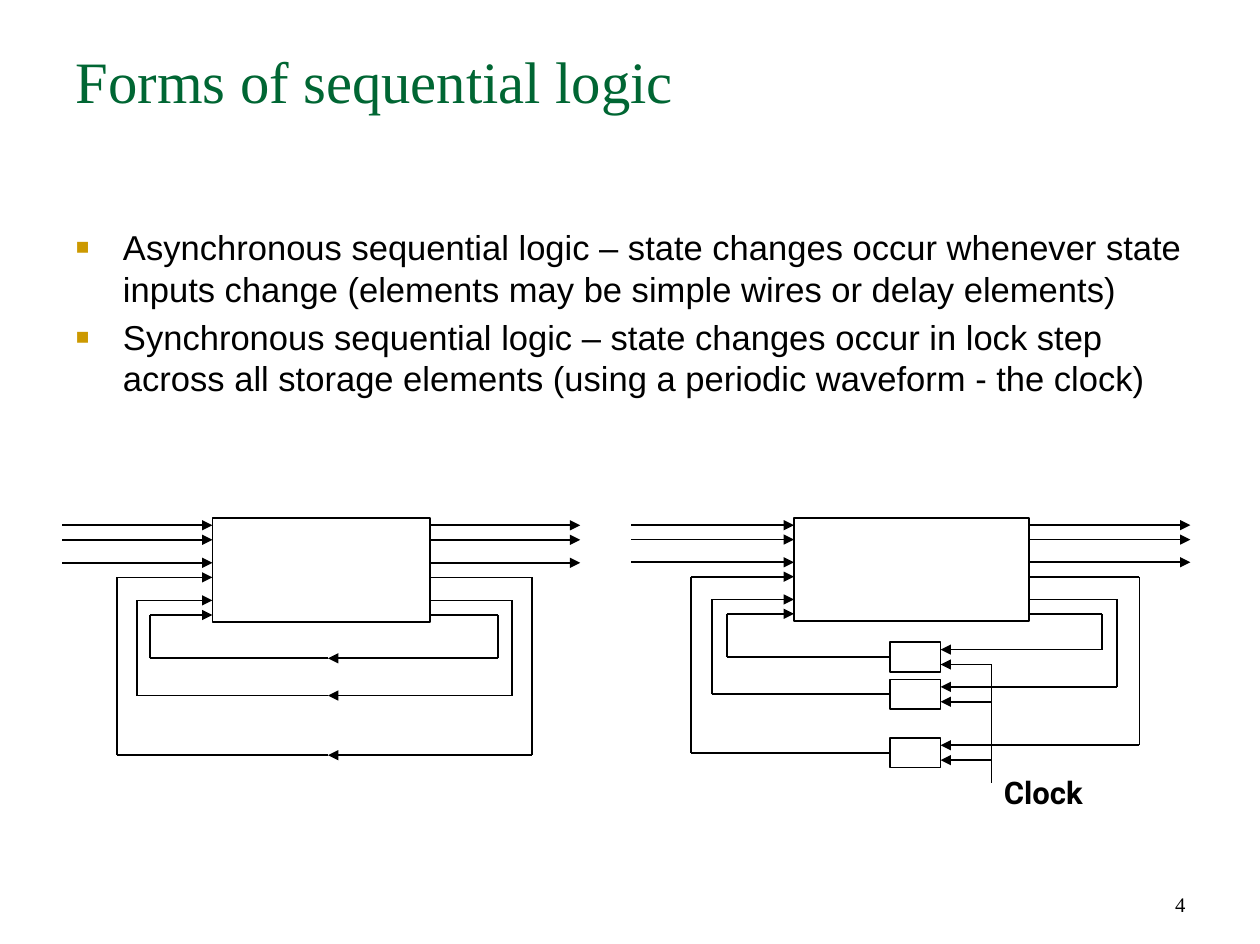
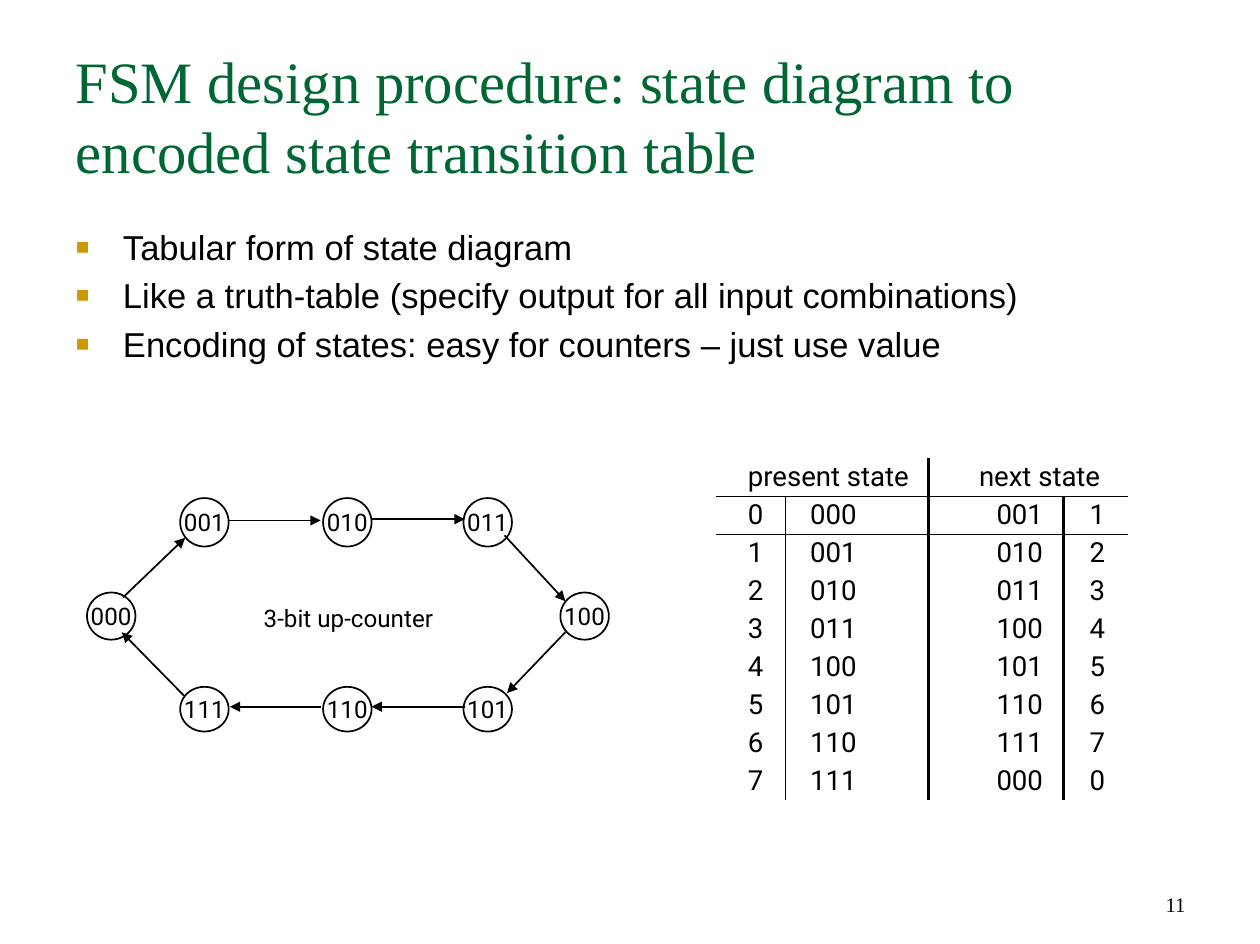
import pptx
import pptx.dml.color
import pptx.enum.shapes
import pptx.enum.text
import pptx.oxml
import pptx.oxml.ns
import pptx.util
from pptx.util import Inches, Pt

RGBColor = pptx.dml.color.RGBColor
GREEN = RGBColor(0x00, 0x66, 0x33)
GOLD = RGBColor(0xCC, 0x99, 0x00)
BLACK = RGBColor(0x00, 0x00, 0x00)
WHITE = RGBColor(0xFF, 0xFF, 0xFF)

SERIF, SANS, DIAGRAM = "Times New Roman", "Arial", "Roboto"
ALIGN = pptx.enum.text.PP_ALIGN
ANCHOR = pptx.enum.text.MSO_ANCHOR
SHAPE = pptx.enum.shapes.MSO_SHAPE
NO_GRID_STYLE = "{2D5ABB26-0587-4C30-8999-92F81FD0307C}"
qn = pptx.oxml.ns.qn


def xml(tag, content="", **attrs):
    """Make one DrawingML element."""
    pairs = "".join(f' {k}="{v}"' for k, v in attrs.items())
    ns = pptx.oxml.ns.nsdecls("a")
    return pptx.oxml.parse_xml(f"<a:{tag} {ns}{pairs}>{content}</a:{tag}>")


class Deck:
    """Shared style, and the slide being built."""

    def __init__(self):
        self.prs = pptx.Presentation()
        self.prs.slide_width, self.prs.slide_height = Inches(10.14), Inches(7.6)
        self.s = None

    def place(self, sp, x, y, w, h):
        sp.left, sp.top, sp.width, sp.height = (Inches(v) for v in (x, y, w, h))

    def style(self, p, font, size, color=BLACK, bold=False, align=ALIGN.LEFT):
        p.alignment = align
        for r in p.runs:
            r.font.name, r.font.size, r.font.bold = font, Pt(size), bold
            r.font.color.rgb = color

    def frame(self, sp, anchor=ANCHOR.TOP, wrap=True, inset=(0.1, 0.05)):
        tf = sp.text_frame
        tf.auto_size = pptx.enum.text.MSO_AUTO_SIZE.NONE
        tf.word_wrap, tf.vertical_anchor = wrap, anchor
        tf.margin_left = tf.margin_right = Inches(inset[0])
        tf.margin_top = tf.margin_bottom = Inches(inset[1])
        return tf

    def slide(self, title, bullets, number):
        """Start a slide with its title, bullet list and page number."""
        self.s = self.prs.slides.add_slide(self.prs.slide_layouts[1])
        head, body = self.s.placeholders
        self.place(head, 0.51, 0.31, 9.12, 1.26)
        tf = self.frame(head)
        tf.text = title
        self.style(tf.paragraphs[0], SERIF, 34, GREEN)

        self.place(body, 0.51, 1.77, 9.12, 5.02)
        tf = self.frame(body)
        tf.text = "\n".join(bullets)
        for p in tf.paragraphs:
            self.style(p, SANS, 20)
            p.space_before = Pt(4)
            self.bullet(p)

        self.label(number, 7.27, 6.92, 2.37, 0.51, font=SERIF, size=12,
                   align=ALIGN.RIGHT, anchor=ANCHOR.BOTTOM)

    def bullet(self, p):
        pPr = p._p.get_or_add_pPr()
        pPr.set("marL", str(Inches(0.38)))
        pPr.set("indent", str(Inches(-0.38)))
        pPr.append(xml("buClr", f'<a:srgbClr val="{GOLD}"/>'))
        pPr.append(xml("buSzPct", val=65000))
        pPr.append(xml("buFont", typeface=SANS))
        pPr.append(xml("buChar", char="■"))

    def label(self, text, x, y, w, h, font=DIAGRAM, size=14, bold=False,
              align=ALIGN.LEFT, anchor=ANCHOR.TOP):
        sp = self.s.shapes.add_textbox(*(Inches(v) for v in (x, y, w, h)))
        tf = self.frame(sp, anchor, wrap=False)
        tf.text = text
        self.style(tf.paragraphs[0], font, size, bold=bold, align=align)

    def shape(self, kind, x, y, w, h, text="", fill=None):
        sp = self.s.shapes.add_shape(kind, *(Inches(v) for v in (x, y, w, h)))
        sp.shadow.inherit = False
        if fill is None:
            sp.fill.background()
        else:
            sp.fill.solid()
            sp.fill.fore_color.rgb = fill
        sp.line.color.rgb, sp.line.width = BLACK, Pt(1)
        if text:
            tf = self.frame(sp, ANCHOR.MIDDLE, wrap=False, inset=(0, 0))
            tf.text = text
            self.style(tf.paragraphs[0], DIAGRAM, 14, align=ALIGN.CENTER)

    def wire(self, *points, arrow=True):
        """Draw straight segments through points, with an arrow at the end."""
        for start, end in zip(points, points[1:]):
            c = self.s.shapes.add_connector(
                pptx.enum.shapes.MSO_CONNECTOR.STRAIGHT,
                *(Inches(v) for v in start + end))
            c.line.color.rgb, c.line.width = BLACK, Pt(1)
            spPr = c._element.spPr
            if arrow and end is points[-1]:
                spPr.find(qn("a:ln")).append(xml("tailEnd", type="triangle"))
            spPr.append(xml("effectLst"))

    def table(self, x, y, widths, rows, row_height):
        total = Inches(sum(widths))
        gf = self.s.shapes.add_table(len(rows), len(widths), Inches(x), Inches(y),
                                     total, row_height * len(rows))
        gf._element.find(".//" + qn("a:tableStyleId")).text = NO_GRID_STYLE
        tbl = gf.table
        tbl.first_row = tbl.horz_banding = False
        for col, w in zip(tbl.columns, widths):
            col.width = Inches(w)
        for row, values in zip(tbl.rows, rows):
            row.height = row_height
            for cell, value in zip(row.cells, values):
                cell.fill.background()
                cell.margin_top = cell.margin_bottom = cell.margin_right = 0
                cell.vertical_anchor = ANCHOR.MIDDLE
                cell.text = value
                self.style(cell.text_frame.paragraphs[0], DIAGRAM, 16)
        return tbl

    def borders(self, cell, **widths):
        """Set cell borders, named in the order lnL, lnR, lnT, lnB."""
        tcPr = cell._tc.get_or_add_tcPr()
        line = f'<a:solidFill><a:srgbClr val="{BLACK}"/></a:solidFill>'
        for i, (side, width) in enumerate(widths.items()):
            tcPr.insert(i, xml(side, line, w=Pt(width)))


def logic_block(d, x, y, w, h, outer, loops, gap, drop):
    """Logic box with inputs, outputs and feedback loops.

    loops holds (left x, right x, y) per loop; gap is the (right, left) end
    of the element in each loop, drop the step down across it.
    """
    d.shape(SHAPE.RECTANGLE, x, y, w, h)
    right = x + w
    ports = [y + h * f for f in (0.07, 0.21, 0.43, 0.57, 0.79, 0.93)]
    for port in ports[:3]:
        d.wire((outer[0], port), (x, port))
        d.wire((right, port), (outer[1], port))
    for port, (x1, x2, back) in zip(ports[3:], loops):
        d.wire((right, port), (x2, port), (x2, back), (gap[0], back))
        out = back + drop
        if not drop:
            d.wire((gap[0], out), (x1, out), arrow=False)
        else:
            d.wire((gap[1], out), (x1, out), arrow=False)
        d.wire((x1, out), (x1, port), (x, port))


def forms_slide(d):
    d.slide("Forms of sequential logic", [
        "Asynchronous sequential logic – state changes occur whenever state "
        "inputs change (elements may be simple wires or delay elements)",
        "Synchronous sequential logic – state changes occur in lock step "
        "across all storage elements (using a periodic waveform - the clock)",
    ], "4")

    # Asynchronous: plain feedback wires
    logic_block(d, 1.71, 4.17, 1.75, 0.84, (0.5, 4.67),
                [(0.94, 4.28, 6.08), (1.1, 4.12, 5.6), (1.21, 4.01, 5.3)],
                gap=(2.64, 2.64), drop=0)

    # Synchronous: a clocked register in each loop
    reg_x, reg_w, reg_h, clock_x = 7.16, 0.41, 0.24, 7.98
    reg_right = reg_x + reg_w
    logic_block(d, 6.39, 4.17, 1.89, 0.83, (5.08, 9.58),
                [(5.56, 9.17, 6), (5.73, 8.99, 5.53), (5.85, 8.87, 5.23)],
                gap=(reg_right, reg_x), drop=0.06)
    for top in (5.17, 5.47, 5.94):
        d.shape(SHAPE.RECTANGLE, reg_x, top, reg_w, reg_h)
        d.wire((clock_x, top + 0.18), (reg_right, top + 0.18))
    d.wire((clock_x, 5.35), (clock_x, 6.3), arrow=False)
    d.label("Clock", clock_x, 6.18, 0.88, 0.4, size=18, bold=True)


def counter_slide(d):
    d.slide("FSM design procedure: state diagram to encoded state transition table", [
        "Tabular form of state diagram",
        "Like a truth-table (specify output for all input combinations)",
        "Encoding of states: easy for counters – just use value",
    ], "11")

    # State diagram
    columns = (1.45, 2.6, 3.73)
    states = [("000", 0.7, 4.77, 0.38), ("100", 4.51, 4.77, 0.38)]
    states += [(t, x, 4.01, 0.39) for t, x in zip(("001", "010", "011"), columns)]
    states += [(t, x, 5.53, 0.36) for t, x in zip(("111", "110", "101"), columns)]
    for text, x, y, h in states:
        d.shape(SHAPE.OVAL, x, y, 0.39, h, text, WHITE)
    for start, end in [
        ((0.99, 4.81), (1.49, 4.33)), ((1.84, 4.19), (2.58, 4.19)),
        ((2.99, 4.18), (3.74, 4.18)), ((4.06, 4.31), (4.55, 4.84)),
        ((4.55, 5.09), (4.08, 5.58)), ((3.74, 5.69), (2.99, 5.69)),
        ((2.58, 5.69), (1.85, 5.69)), ((1.48, 5.6), (0.98, 5.09)),
    ]:
        d.wire(start, end)
    d.label("3-bit up-counter", 1.96, 4.81, 1.69, 0.38, align=ALIGN.CENTER)

    # State transition table
    rows = [("present state", "", "next state", "")]
    for n in range(8):
        following = (n + 1) % 8
        rows.append((str(n), f"{n:03b}", f"{following:03b}", str(following)))
    tbl = d.table(5.76, 3.69, (0.56, 1.15, 1.09, 0.52), rows, Pt(22))
    for row in tbl.rows:
        for cell, indent in zip(row.cells, (0.26, 0.2, 0.55, 0.21)):
            cell.margin_left = Inches(indent)
    present, nxt = tbl.cell(0, 0), tbl.cell(0, 2)
    present.merge(tbl.cell(0, 1))
    nxt.merge(tbl.cell(0, 3))
    nxt.margin_left = Inches(0.41)

    # Rules under the header and between the columns
    d.borders(nxt, lnL=2)
    for i in range(1, len(rows)):
        top = {"lnT": 1} if i == 1 else {}
        d.borders(tbl.cell(i, 0), **top)
        for j, width in ((1, 1), (2, 2), (3, 1)):
            d.borders(tbl.cell(i, j), lnL=width, **top)


def main():
    d = Deck()
    forms_slide(d)
    counter_slide(d)
    d.prs.save("out.pptx")


if __name__ == "__main__":
    main()
